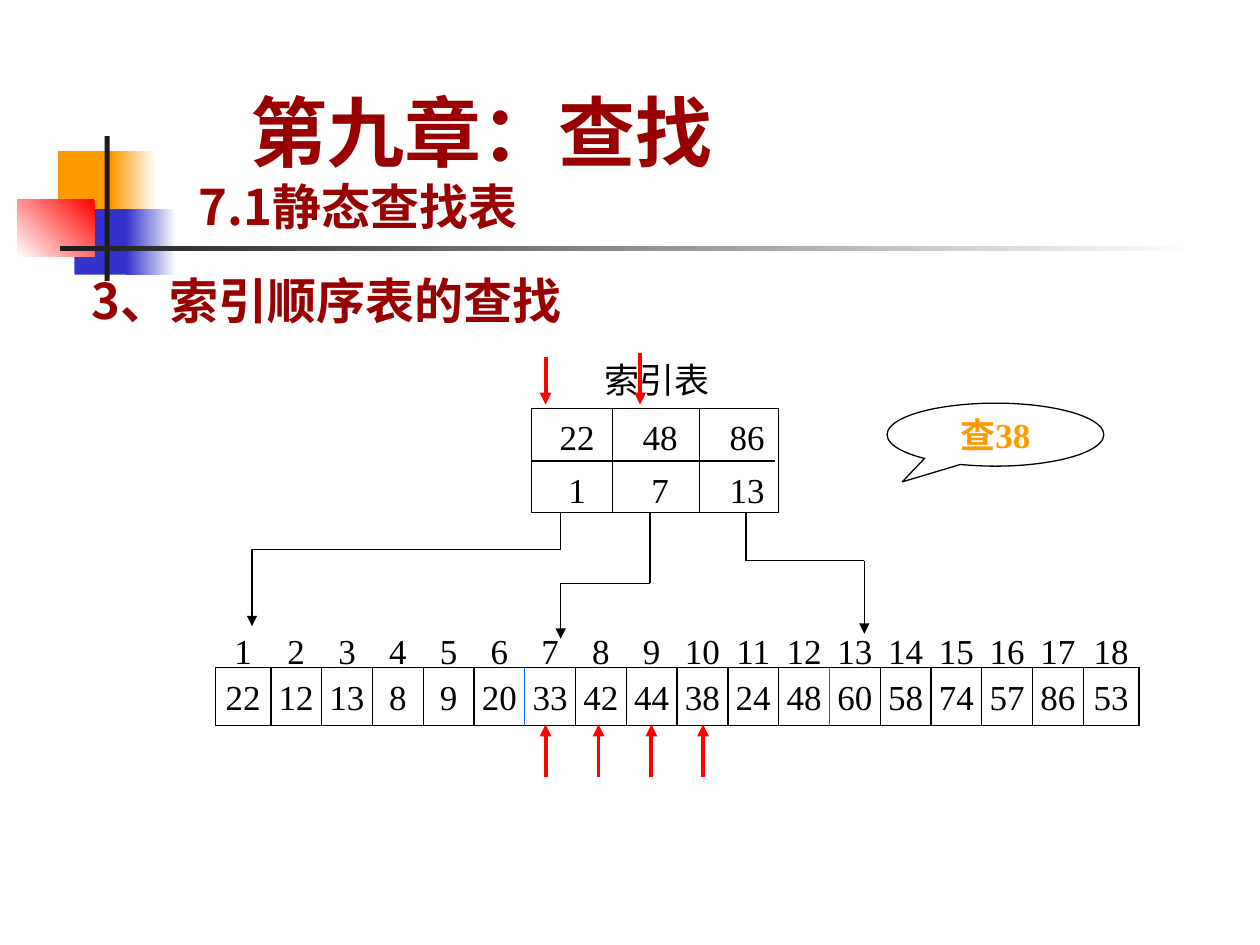
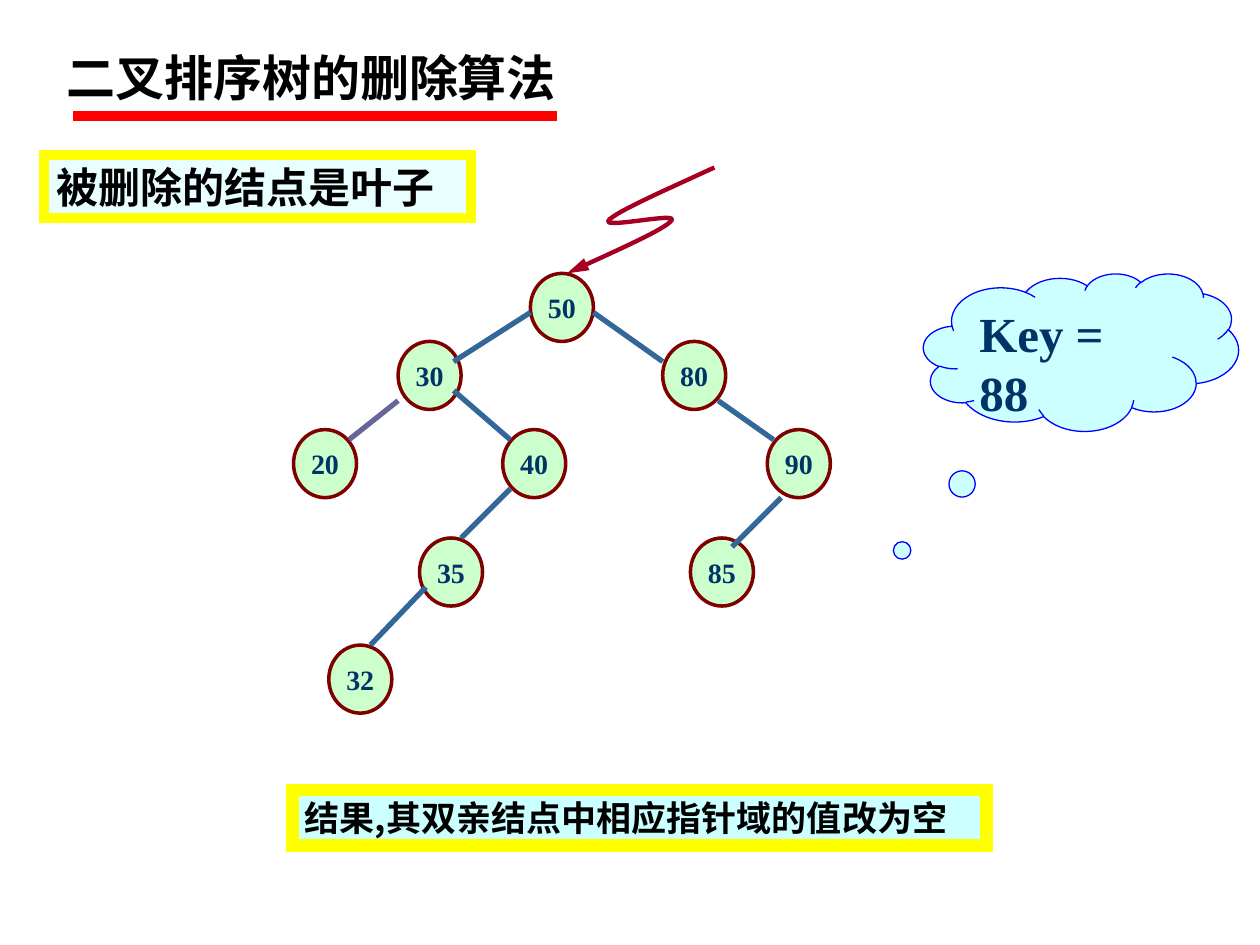
from itertools import pairwise

from pptx import Presentation
from pptx.dml.color import RGBColor
from pptx.enum.shapes import MSO_CONNECTOR as CONN, MSO_SHAPE as SHAPE
from pptx.enum.text import MSO_ANCHOR as ANCHOR, PP_ALIGN as ALIGN
from pptx.oxml.ns import qn
from pptx.util import Inches, Pt
from lxml.etree import SubElement

COLORS = {
    "black": "000000", "white": "FFFFFF", "ink": "1C1C1C", "title": "990000",
    "orange": "FF9900", "indigo": "3333CC", "red": "FF0000", "block": "0066FF",
    "yellow": "FFFF00", "pale": "CCFFFF", "node": "CCFFCC", "ring": "800000",
    "navy": "003366", "edge": "336699", "left_edge": "666699",
    "crimson": "A50021", "cloud": "0000FF",
}
SERIF, SANS = "Times New Roman", "Noto Sans CJK SC"

# Decoration: box, fill (or two gradient colours and an angle)
DECORATION = [
    ((0.46, 1.2, 0.48, 0.52), "orange"),
    ((0.88, 1.2, 0.36, 0.52), ("white", "orange", 180)),
    ((0.59, 1.66, 0.46, 0.52), "indigo"),
    ((1, 1.66, 0.4, 0.52), ("white", "indigo", 180)),
    ((0.14, 1.58, 0.61, 0.46), ("red", "white", 225)),
    ((0.83, 1.08, 0.04, 1.15), "ink"),
    ((0.48, 1.95, 9, 0.04), ("white", "ink", 180)),
]

# Indexed sequential search
KEYS = [22, 12, 13, 8, 9, 20, 33, 42, 44, 38, 24, 48, 60, 58, 74, 57, 86, 53]
BLOCK_SIZE = 6
ARRAY_LEFT, ARRAY_TOP, ARRAY_W, ARRAY_H = 1.71, 5.3, 7.33, 0.46
FIRST_DIVIDER, CELL_W = 2.15, 0.403
INDEX_ROWS = [(3.25, [22, 48, 86]), (3.67, [1, 7, 13])]
INDEX_LEFT, INDEX_TOP, INDEX_W, INDEX_H = 4.22, 3.24, 1.96, 0.83
INDEX_DIVIDERS = [4.86, 5.55]
INDEX_TABS = [0.36, 1.02, 1.71]
# Pointers from index to blocks: start x, bend y, target x, tip y
POINTERS = [(4.45, 4.36, 2, 4.97), (5.16, 4.63, 4.45, 5.07), (5.92, 4.45, 6.86, 5.03)]
INDEX_PROBES = [(4.33, 2.83), (5.08, 2.8)]
ARRAY_PROBES = [4.33, 4.75, 5.17, 5.58]

# Binary search tree
NODE_W, NODE_H = 0.5, 0.54
NODES = {
    50: (4.21, 2.17), 30: (3.16, 2.71), 80: (5.26, 2.71), 20: (2.33, 3.41),
    90: (6.09, 3.41), 85: (5.48, 4.27), 40: (3.99, 3.41), 35: (3.33, 4.27),
    32: (2.61, 5.12),
}
EDGES = [
    ((4.21, 2.48), (3.6, 2.87), "edge"), ((3.16, 3.18), (2.77, 3.49), "left_edge"),
    ((4.71, 2.48), (5.26, 2.87), "edge"), ((3.6, 3.1), (4.05, 3.49), "edge"),
    ((4.05, 3.88), (3.66, 4.27), "edge"), ((5.7, 3.18), (6.14, 3.49), "edge"),
    ((6.2, 3.95), (5.81, 4.34), "edge"), ((3.38, 4.66), (2.94, 5.12), "edge"),
]
SQUIGGLE = [
    [(5.67, 1.33), (5.28, 1.51), (4.89, 1.68), (4.83, 1.75)],
    [(4.83, 1.75), (4.78, 1.82), (5.39, 1.68), (5.33, 1.75)],
    [(5.33, 1.75), (5.28, 1.82), (4.89, 1.99), (4.5, 2.17)],
]


def rgb(name):
    return RGBColor.from_string(COLORS[name])


def put_text(sp, lines, size, color="black", font=SERIF, bold=False,
             align=None, anchor=ANCHOR.TOP, wrap=True):
    tf = sp.text_frame
    tf.word_wrap = wrap
    tf.vertical_anchor = anchor
    tf.text = lines
    for p in tf.paragraphs:
        p.alignment = align or ALIGN.LEFT
        for r in p.runs:
            r.font.size, r.font.bold, r.font.name = Pt(size), bold, font
            r.font.color.rgb = rgb(color)
            SubElement(r.font._element, qn("a:ea")).set("typeface", SANS)
    return tf


def add_text(s, box, text, size, **style):
    sp = s.shapes.add_textbox(*map(Inches, box))
    return put_text(sp, text, size, **style)


def add_shape(s, kind, box, fill=None, line=None, width=0.75):
    sp = s.shapes.add_shape(kind, *map(Inches, box))
    sp.shadow.inherit = False
    if fill is None:
        sp.fill.background()
    elif isinstance(fill, tuple):
        *stops, angle = fill
        sp.fill.gradient()
        sp.fill.gradient_angle = angle
        for stop, name in zip(sp.fill.gradient_stops, stops):
            stop.color.rgb = rgb(name)
    else:
        sp.fill.solid()
        sp.fill.fore_color.rgb = rgb(fill)
    if line:
        sp.line.color.rgb = rgb(line)
        sp.line.width = Pt(width)
        SubElement(sp.line._get_or_add_ln(), qn("a:miter")).set("lim", "800000")
    else:
        sp.line.fill.background()
    return sp


def add_arrowhead(sp, length="med"):
    head = SubElement(sp.line._get_or_add_ln(), qn("a:tailEnd"))
    head.set("type", "triangle")
    head.set("len", length)


def add_line(s, start, end, color="black", width=0.75, arrow=False):
    ln = s.shapes.add_connector(CONN.STRAIGHT, *map(Inches, (*start, *end)))
    ln.line.color.rgb = rgb(color)
    ln.line.width = Pt(width)
    if arrow:
        add_arrowhead(ln)
    SubElement(ln._element.spPr, qn("a:effectLst"))


def add_number_row(s, box, numbers, centers):
    """One line of numbers, each on a centred tab stop measured from the box."""
    tf = add_text(s, box, "", 20)
    tf.margin_left = tf.margin_right = 0
    p = tf.paragraphs[0]
    tabs = SubElement(p._p.get_or_add_pPr(), qn("a:tabLst"))
    for center in centers:
        tab = SubElement(tabs, qn("a:tab"))
        tab.set("pos", str(Inches(center)))
        tab.set("algn", "ctr")
    p.text = "".join(f"\t{n}" for n in numbers)
    for r in p.runs:
        r.font.size, r.font.name, r.font.color.rgb = Pt(20), SERIF, rgb("black")


def bezier(p0, p1, p2, p3, steps=16):
    for i in range(1, steps + 1):
        t = i / steps
        u = 1 - t
        yield tuple(Inches(u**3 * a + 3 * u * u * t * b + 3 * u * t * t * c + t**3 * d)
                    for a, b, c, d in zip(p0, p1, p2, p3))


def draw_array(s):
    bottom = ARRAY_TOP + ARRAY_H
    dividers = [FIRST_DIVIDER + i * CELL_W for i in range(len(KEYS) - 1)]
    borders = [ARRAY_LEFT, *dividers, ARRAY_LEFT + ARRAY_W]
    centers = [(a + b) / 2 - ARRAY_LEFT for a, b in pairwise(borders)]
    add_shape(s, SHAPE.RECTANGLE, (ARRAY_LEFT, ARRAY_TOP, ARRAY_W, ARRAY_H), line="black")
    for top, numbers in ((4.95, range(1, len(KEYS) + 1)), (5.31, KEYS)):
        add_number_row(s, (ARRAY_LEFT, top, ARRAY_W + 0.2, 0.44), numbers, centers)
    for i, x in enumerate(dividers, 1):
        color = "black" if i % BLOCK_SIZE else "block"
        add_line(s, (x, ARRAY_TOP), (x, bottom), color)


def draw_index(s):
    bottom = INDEX_TOP + INDEX_H
    add_shape(s, SHAPE.RECTANGLE, (INDEX_LEFT, INDEX_TOP, INDEX_W, INDEX_H), line="black")
    add_line(s, (INDEX_LEFT, 3.66), (6.15, 3.66))
    for x in INDEX_DIVIDERS:
        add_line(s, (x, INDEX_TOP), (x, bottom))
    for top, numbers in INDEX_ROWS:
        add_number_row(s, (INDEX_LEFT, top, INDEX_W + 0.2, 0.44), numbers, INDEX_TABS)
    for x, bend, target, tip in POINTERS:
        add_line(s, (x, bottom), (x, bend))
        add_line(s, (x, bend), (target, bend))
        add_line(s, (target, bend), (target, tip), arrow=True)
    add_text(s, (4.7, 2.8, 1.2, 0.44), "索引表", 20)


def build_search_slide(s):
    for box, fill in DECORATION:
        add_shape(s, SHAPE.RECTANGLE, box, fill)
    draw_array(s)
    draw_index(s)

    callout = add_shape(s, SHAPE.OVAL_CALLOUT, (7.04, 3.2, 1.72, 0.5), line="black")
    callout.adjustments[0], callout.adjustments[1] = -0.43, 0.75
    put_text(callout, "查38", 20, color="orange", bold=True, align=ALIGN.CENTER,
             anchor=ANCHOR.MIDDLE, wrap=False)

    for x, top in INDEX_PROBES:
        add_line(s, (x, top), (x, 3.21), "red", 2.25, arrow=True)
    for x in ARRAY_PROBES:
        add_line(s, (x, 6.17), (x, 5.75), "red", 2.25, arrow=True)

    heading = dict(color="title", font=SANS, bold=True)
    add_text(s, (0.63, 2.1, 3.98, 0.57), "3、索引顺序表的查找", 28, **heading)
    tf = add_text(s, (1.48, 0.67, 8.52, 1.25), "第九章：查找\n7.1静态查找表", 28,
                  anchor=ANCHOR.BOTTOM, **heading)
    chapter = tf.paragraphs[0]
    chapter._p.get_or_add_pPr().set("marL", str(Inches(0.41)))
    chapter.runs[0].font.size = Pt(44)


def build_tree_slide(s):
    result = add_shape(s, SHAPE.RECTANGLE, (2.32, 6.27, 5.51, 0.44), "pale", "yellow", 7.25)
    put_text(result, "结果,其双亲结点中相应指针域的值改为空", 20, font=SANS, bold=True)

    for key, corner in NODES.items():
        node = add_shape(s, SHAPE.OVAL, (*corner, NODE_W, NODE_H), "node", "ring", 2)
        put_text(node, str(key), 16, color="navy", bold=True, align=ALIGN.CENTER,
                 anchor=ANCHOR.MIDDLE, wrap=False)
    for start, end, color in EDGES:
        add_line(s, start, end, color, 3)

    fb = s.shapes.build_freeform(*map(Inches, SQUIGGLE[0][0]))
    fb.add_line_segments([pt for curve in SQUIGGLE for pt in bezier(*curve)], close=False)
    squiggle = fb.convert_to_shape()
    squiggle.shadow.inherit = False
    squiggle.fill.background()
    squiggle.line.color.rgb = rgb("crimson")
    squiggle.line.width = Pt(2.5)
    add_arrowhead(squiggle, "lg")

    case = add_shape(s, SHAPE.RECTANGLE, (0.35, 1.23, 3.39, 0.5), "pale", "yellow", 6)
    tint = case._element.spPr.find(qn("a:solidFill"))[0]
    SubElement(tint, qn("a:alpha")).set("val", "43000")
    put_text(case, "被删除的结点是叶子", 24, bold=True)

    cloud = add_shape(s, SHAPE.CLOUD_CALLOUT, (7.33, 2.17, 2.5, 1.25), "pale", "cloud")
    cloud.adjustments[0], cloud.adjustments[1] = -0.74, 1.64
    put_text(cloud, "Key = 88", 28, color="navy", bold=True)
    # Blank area below node 90 ends the trail of the cloud
    add_shape(s, SHAPE.RECTANGLE, (5.99, 4.75, 1.6, 1), "white")

    add_line(s, (0.58, 0.92), (4.42, 0.92), "red", 6)
    add_text(s, (0.43, 0.33, 4.08, 0.57), "二叉排序树的删除算法", 28, bold=True, wrap=False)


def main():
    prs = Presentation()
    prs.slide_width, prs.slide_height = Inches(10), Inches(7.5)
    for build in (build_search_slide, build_tree_slide):
        build(prs.slides.add_slide(prs.slide_layouts[6]))
    prs.save("out.pptx")


if __name__ == "__main__":
    main()
